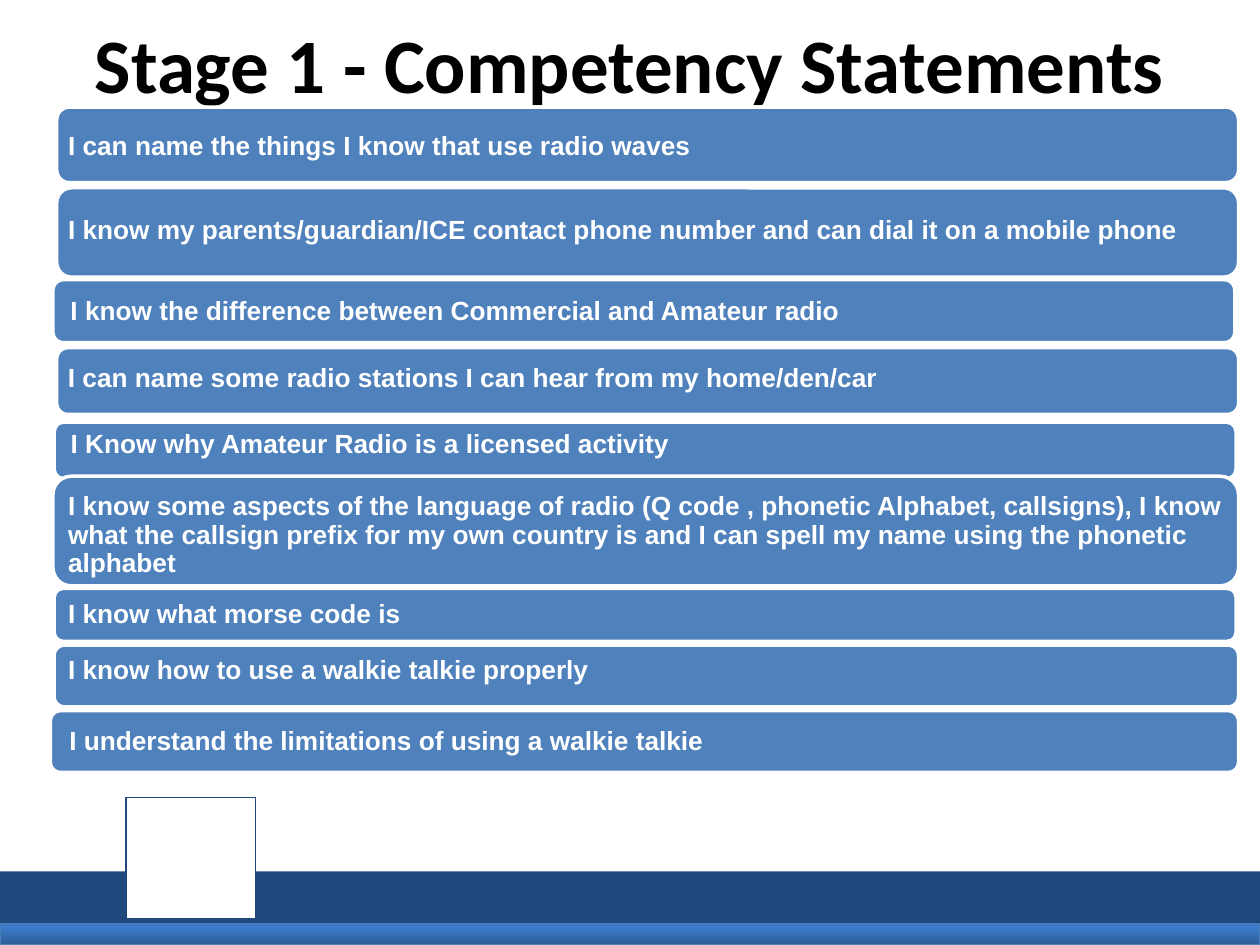
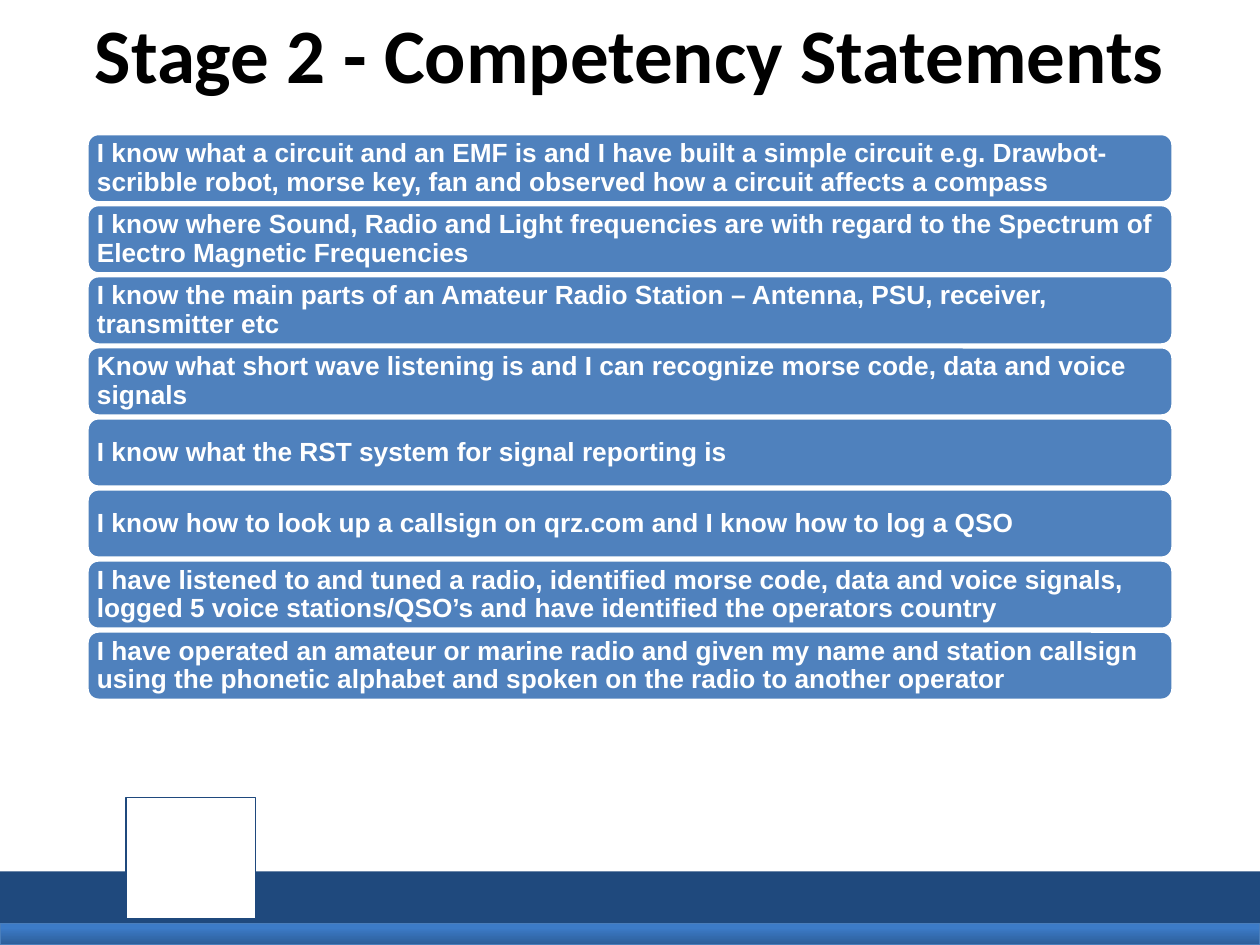
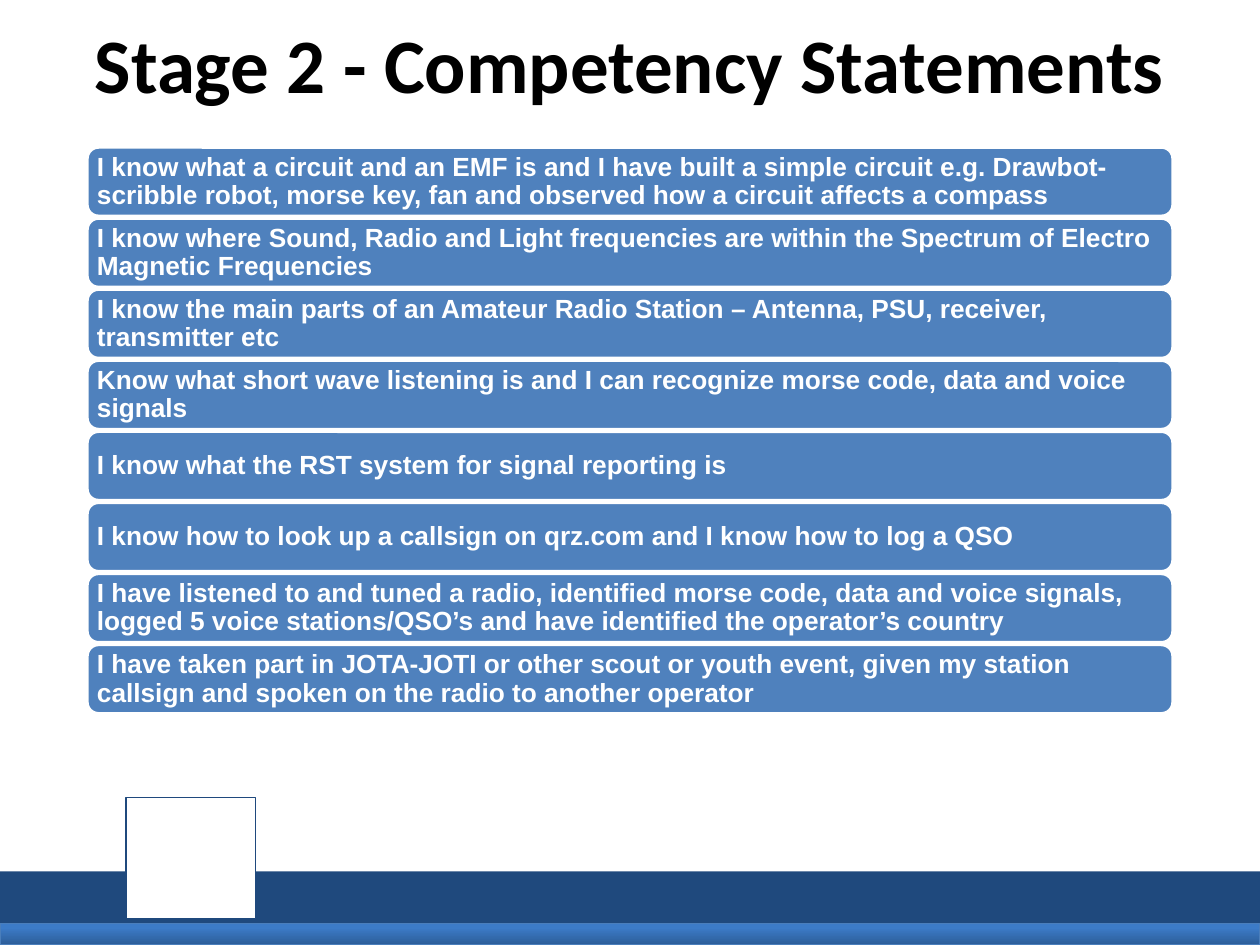
"""Build three slides of radio competency statements on a 100 by 75 grid."""
from dataclasses import dataclass

from pptx import Presentation
from pptx import util as u
from pptx.dml.color import RGBColor
from pptx.enum import shapes, text

COLUMNS, ROWS = 100, 75
WIDTH, HEIGHT = u.Inches(10), u.Inches(7.5)
NAVY, BLUE, WHITE, BLACK = "1F497D", "4F81BD", "FFFFFF", "000000"
STRIP_TOP, STRIP_BOTTOM, STRIP_EDGE = "3C7BC7", "2C5D98", "4A7EBB"
STACK_PITCH = 5.64


@dataclass(frozen=True)
class Box:
    left: float
    top: float
    width: float
    height: float

    def place(self) -> tuple[int, int, int, int]:
        column, row = WIDTH / COLUMNS, HEIGHT / ROWS
        return (round(self.left * column), round(self.top * row),
                round(self.width * column), round(self.height * row))


@dataclass(frozen=True)
class Statement:
    words: str
    bar: Box
    label: Box


@dataclass(frozen=True)
class Stage:
    title: str
    title_rows: float
    statements: list[Statement]


def color(value: str) -> RGBColor:
    return RGBColor.from_string(value)


def add_panel(slide, kind, box: Box, fill: str, line: str = "", points: float = 0.75):
    shape = slide.shapes.add_shape(kind, *box.place())
    shape.shadow.inherit = False
    shape.fill.solid()
    shape.fill.fore_color.rgb = color(fill)
    if line:
        shape.line.color.rgb = color(line)
        shape.line.width = u.Pt(points)
    else:
        shape.line.fill.background()
    return shape


def write(paragraph, words: str, font: str, size: float, ink: str) -> None:
    run = paragraph.add_run()
    run.text = words
    run.font.name = font
    run.font.size = u.Pt(size)
    run.font.bold = True
    run.font.color.rgb = color(ink)


def add_label(slide, statement: Statement) -> None:
    frame = slide.shapes.add_textbox(*statement.label.place()).text_frame
    frame.word_wrap = True
    frame.vertical_anchor = text.MSO_ANCHOR.MIDDLE
    frame.margin_left = frame.margin_right = u.Inches(0.06)
    frame.margin_top = frame.margin_bottom = u.Inches(0.06)
    paragraph = frame.paragraphs[0]
    paragraph.line_spacing = 0.9
    write(paragraph, statement.words, "Arial", 15, WHITE)


def add_title(slide, words: str, rows: float) -> None:
    title = slide.shapes.title
    title.left, title.top, title.width, title.height = Box(0, 0, COLUMNS, rows).place()
    frame = title.text_frame
    frame.auto_size = text.MSO_AUTO_SIZE.NONE
    frame.vertical_anchor = text.MSO_ANCHOR.MIDDLE
    paragraph = frame.paragraphs[0]
    paragraph.alignment = text.PP_ALIGN.CENTER
    write(paragraph, words, "Calibri", 44, BLACK)


def move_footer_to_master(slide, master) -> None:
    rectangle = shapes.MSO_SHAPE.RECTANGLE
    band = add_panel(slide, rectangle, Box(0, 69.15, COLUMNS, 4.2), NAVY)
    strip = add_panel(slide, rectangle, Box(0, 73.3, COLUMNS, 1.7), STRIP_TOP, STRIP_EDGE)
    strip.fill.gradient()
    strip.fill.gradient_angle = 270
    for stop, position, value in zip(strip.fill.gradient_stops, (0.2, 1), (STRIP_TOP, STRIP_BOTTOM)):
        stop.position = position
        stop.color.rgb = color(value)
    emblem = add_panel(slide, rectangle, Box(10, 63.3, 10.3, 9.6), WHITE, NAVY)
    for shape in (band, strip, emblem):
        master.shapes.element.append(shape.element)


def stack(top: float, sentences: list[str]) -> list[Statement]:
    tops = [top + index * STACK_PITCH for index in range(len(sentences))]
    return [Statement(words, Box(6.9, row, 86.2, 5.5), Box(7.1, row + 0.27, 85.7, 5))
            for words, row in zip(sentences, tops)]


def add_stage(slide, stage: Stage) -> None:
    add_title(slide, stage.title, stage.title_rows)
    for statement in stage.statements:
        add_panel(slide, shapes.MSO_SHAPE.ROUNDED_RECTANGLE, statement.bar, BLUE, WHITE, 2)
    for statement in stage.statements:
        add_label(slide, statement)


FIRST_STAGE = [
    Statement("I can name the things I know that use radio waves",
              Box(4.5, 8.5, 93.8, 6), Box(4.8, 8.9, 93.1, 5.6)),
    Statement("I know my parents/guardian/ICE contact phone number and can dial it on a mobile phone",
              Box(4.5, 14.9, 93.8, 7.1), Box(4.8, 14.6, 93.1, 7.5)),
    Statement("I know the difference between Commercial and Amateur radio",
              Box(4.2, 22.2, 93.8, 5), Box(5, 22.3, 93, 4.9)),
    Statement("I can name some radio stations I can hear from my home/den/car",
              Box(4.5, 27.6, 93.8, 5.3), Box(4.8, 26.3, 93, 7.5)),
    Statement("I Know why Amateur Radio is a licensed activity",
              Box(4.3, 33.5, 93.8, 4.5), Box(5, 33.1, 93.1, 4.5)),
    Statement("I know some aspects of the language of radio (Q code , phonetic Alphabet, callsigns), "
              "I know what the callsign prefix for my own country is and I can spell my name "
              "using the phonetic alphabet",
              Box(4.2, 37.8, 94.1, 8.7), Box(4.8, 39.4, 93.1, 6.2)),
    Statement("I know what morse code is",
              Box(4.3, 46.7, 93.8, 4.2), Box(4.8, 46.9, 88.2, 3.8)),
    Statement("I know how to use a walkie talkie properly",
              Box(4.3, 51.2, 94, 4.9), Box(4.8, 50.8, 88.2, 4.9)),
    Statement("I understand the limitations of using a walkie talkie",
              Box(4, 56.4, 94.3, 4.9), Box(4.9, 56.4, 92.8, 4.9)),
]


def second_stage(spectrum: str, operators: str, on_air: str) -> list[str]:
    return [
        "I know what a circuit and an EMF is and I have built a simple circuit e.g. "
        "Drawbot-scribble robot, morse key, fan and observed how a circuit affects a compass",
        f"I know where Sound, Radio and Light frequencies are {spectrum} "
        "Spectrum of Electro Magnetic Frequencies",
        "I know the main parts of an Amateur Radio Station – Antenna, PSU, receiver, transmitter etc",
        "Know what short wave listening is and I can recognize morse code, data and voice signals",
        "I know what the RST system for signal reporting is",
        "I know how to look up a callsign on qrz.com and I know how to log a QSO",
        "I have listened to and tuned a radio, identified morse code, data and voice signals, "
        f"logged 5 voice stations/QSO’s and have identified the {operators} country",
        f"I have {on_air} and spoken on the radio to another operator",
    ]


STAGES = [
    Stage("Stage 1 - Competency Statements", 10, FIRST_STAGE),
    Stage("Stage 2 - Competency Statements", 8.4, stack(10.6, second_stage(
        "with regard to the", "operators",
        "operated an amateur or marine radio and given my name and station callsign "
        "using the phonetic alphabet"))),
    Stage("Stage 2 - Competency Statements", 10, stack(11.67, second_stage(
        "within the", "operator’s",
        "taken part in JOTA-JOTI or other scout or youth event, given my station callsign"))),
]


def main() -> None:
    presentation = Presentation()
    presentation.slide_width, presentation.slide_height = WIDTH, HEIGHT
    layout = presentation.slide_layouts.get_by_name("Title Only")
    slides = [presentation.slides.add_slide(layout) for _ in STAGES]
    move_footer_to_master(slides[0], presentation.slide_master)
    for slide, stage in zip(slides, STAGES):
        add_stage(slide, stage)
    presentation.save("out.pptx")


if __name__ == "__main__":
    main()
